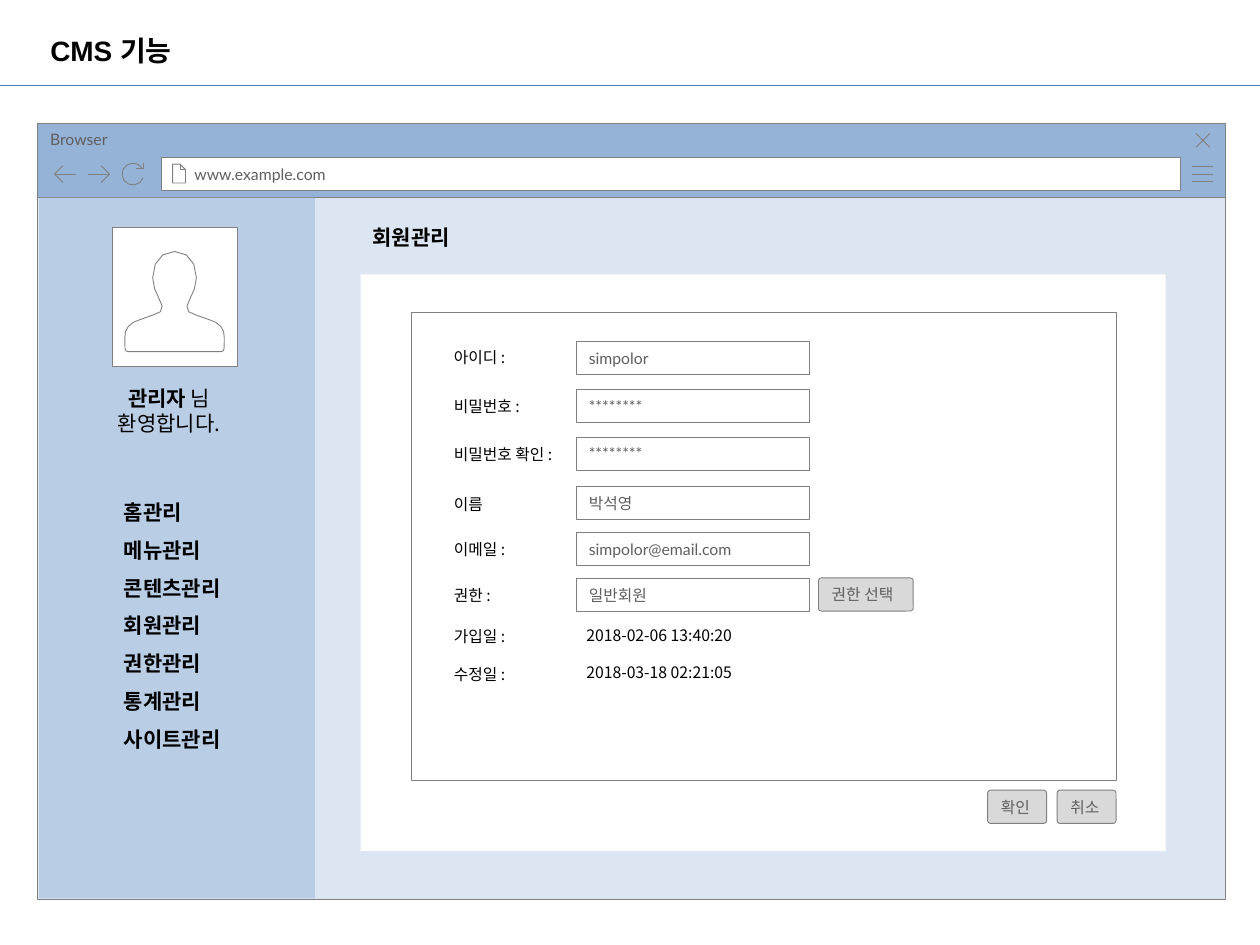
from math import cos, radians, sin

from lxml import etree
from pptx import Presentation
from pptx import util as u
from pptx.dml.color import RGBColor
from pptx.enum import shapes, text
from pptx.oxml.ns import qn

BLACK = RGBColor(0x00, 0x00, 0x00)
WHITE = RGBColor(0xFF, 0xFF, 0xFF)
GREY = RGBColor(0x80, 0x80, 0x80)
DARK_GREY = RGBColor(0x5F, 0x5F, 0x5F)
BUTTON_GREY = RGBColor(0xD9, 0xD9, 0xD9)
RULE_BLUE = RGBColor(0x4B, 0x7E, 0xBC)
BAR_BLUE = RGBColor(0x95, 0xB3, 0xD7)
SIDE_BLUE = RGBColor(0xB9, 0xCD, 0xE5)
PAGE_BLUE = RGBColor(0xDC, 0xE6, 0xF2)
KOREAN, LATIN, HEADING = "Noto Sans CJK KR", "Lato", "Arial"

FORM_ROWS = [
    ("아이디 :", 6.88, 1.78, "simpolor", 6.89),
    ("비밀번호 :", 7.88, 2.08, "********", 7.85),
    ("비밀번호 확인 :", 8.84, 2.75, "********", 8.81),
    ("이름", 9.85, 1.14, "박석영", 9.81),
    ("이메일 :", 10.75, 1.78, "simpolor@email.com", 10.73),
    ("권한 :", 11.68, 1.36, "일반회원", 11.66),
]
DATE_ROWS = [
    ("가입일 :", 12.52, "2018-02-06 13:40:20", 12.49),
    ("수정일 :", 13.28, "2018-03-18 02:21:05", 13.23),
]
MENU = ["홈관리", "메뉴관리", "콘텐츠관리", "회원관리", "권한관리", "통계관리", "사이트관리"]
PERSON_AXIS = 3.52
PERSON_CURVES = [
    [(0, 5.07), (0.28, 5.07), (0.44, 5.3), (0.44, 5.6)],
    [(0.44, 5.6), (0.44, 5.86), (0.3, 5.99), (0.25, 6.17)],
    [(0.25, 6.17), (0.21, 6.33), (0.43, 6.33), (0.57, 6.4)],
    [(0.57, 6.4), (0.71, 6.46), (0.84, 6.47), (0.93, 6.58)],
    [(0.93, 6.58), (1.02, 6.68), (1, 6.78), (1, 6.96)],
    [(1, 6.96), (1, 7.05), (1, 7.09), (0.93, 7.09)],
]


def curve_points(curve, steps=3):
    points = []
    for step in range(steps):
        t = step / steps
        weights = ((1 - t) ** 3, 3 * t * (1 - t) ** 2, 3 * t * t * (1 - t), t ** 3)
        points.append(tuple(sum(w * p[axis] for w, p in zip(weights, curve)) for axis in (0, 1)))
    return points


def person_outline():
    half = [point for curve in PERSON_CURVES for point in curve_points(curve)]
    half.append(PERSON_CURVES[-1][-1])
    left = [(PERSON_AXIS - x, y) for x, y in half]
    right = [(PERSON_AXIS + x, y) for x, y in half[:0:-1]]
    return left + right


class Wireframe:
    """Draws wireframe elements on the current slide in one style."""

    def __init__(self, slide):
        self.slide = slide
        self.line_width = u.Pt(0.5)

    def style_shape(self, shape, fill, outlined=True):
        shape.shadow.inherit = False
        if fill is None:
            shape.fill.background()
        else:
            shape.fill.solid()
            shape.fill.fore_color.rgb = fill
        if outlined:
            shape.line.color.rgb = GREY
            shape.line.width = self.line_width
        else:
            shape.line.fill.background()

    def style_text(self, frame, size, font, color=BLACK, bold=False):
        for paragraph in frame.paragraphs:
            paragraph.alignment = text.PP_ALIGN.LEFT
            for run in paragraph.runs:
                run.font.size = u.Pt(size)
                run.font.name = font
                run.font.bold = bold
                run.font.color.rgb = color

    def title(self, wording, box):
        shape = self.slide.shapes.title
        shape.left, shape.top, shape.width, shape.height = map(u.Cm, box)
        frame = shape.text_frame
        frame.text = wording
        frame.auto_size = text.MSO_AUTO_SIZE.NONE
        frame.vertical_anchor = text.MSO_ANCHOR.MIDDLE
        self.style_text(frame, 16, HEADING, bold=True)

    def box(self, box, fill=WHITE, outlined=True, kind=shapes.MSO_SHAPE.RECTANGLE):
        shape = self.slide.shapes.add_shape(kind, *map(u.Cm, box))
        self.style_shape(shape, fill, outlined)
        return shape

    def caption(self, shape, wording, left=0.25, top=0.13, anchor=text.MSO_ANCHOR.MIDDLE):
        frame = shape.text_frame
        frame.text = wording
        frame.vertical_anchor = anchor
        frame.margin_left = u.Cm(left)
        frame.margin_top = frame.margin_bottom = u.Cm(top)
        self.style_text(frame, 9, LATIN, DARK_GREY)
        return frame

    def field(self, wording, top):
        frame = self.caption(self.box((11.62, top, 4.69, 0.67)), wording, top=0.15)
        frame.auto_size = text.MSO_AUTO_SIZE.SHAPE_TO_FIT_TEXT

    def button(self, wording, left, top, width):
        shape = self.box((left, top, width, 0.67), BUTTON_GREY,
                         kind=shapes.MSO_SHAPE.ROUNDED_RECTANGLE)
        shape.adjustments[0] = 0.09
        frame = self.caption(shape, wording)
        frame.word_wrap = False
        frame.auto_size = text.MSO_AUTO_SIZE.SHAPE_TO_FIT_TEXT

    def label(self, wording, box, size=9, font=KOREAN, bold=False):
        frame = self.slide.shapes.add_textbox(*map(u.Cm, box)).text_frame
        frame.text = wording
        frame.word_wrap = False
        frame.auto_size = text.MSO_AUTO_SIZE.SHAPE_TO_FIT_TEXT
        self.style_text(frame, size, font, bold=bold)
        return frame

    def outline(self, strokes, fill=None, closed=False):
        strokes = [[(u.Cm(x), u.Cm(y)) for x, y in stroke] for stroke in strokes]
        builder = self.slide.shapes.build_freeform(*strokes[0][0])
        for index, stroke in enumerate(strokes):
            if index:
                builder.move_to(*stroke[0])
            builder.add_line_segments(stroke[1:], close=closed)
        self.style_shape(builder.convert_to_shape(), fill)

    def rule(self, y):
        line = self.slide.shapes.add_connector(
            shapes.MSO_CONNECTOR.STRAIGHT, u.Cm(25.4), u.Cm(y), 0, u.Cm(y))
        line.line.color.rgb = RULE_BLUE
        line.line.width = u.Pt(0.75)
        etree.SubElement(line._element.spPr, qn("a:effectLst"))


def draw_browser(wireframe):
    wireframe.box((0.76, 3.99, 23.95, 14.14), PAGE_BLUE)
    bar = wireframe.box((0.76, 2.49, 23.95, 1.5), BAR_BLUE)
    wireframe.caption(bar, "Browser", anchor=text.MSO_ANCHOR.TOP)
    wireframe.outline([[(24.03, y), (24.46, y)] for y in (3.35, 3.51, 3.66)])
    wireframe.outline([[(24.11, 2.69), (24.39, 2.97)], [(24.39, 2.69), (24.11, 2.97)]])
    wireframe.caption(wireframe.box((3.25, 3.17, 20.55, 0.67)), "www.example.com", left=0.67)
    wireframe.outline([
        [(3.63, 3.31), (3.63, 3.42), (3.74, 3.42)],
        [(3.63, 3.31), (3.48, 3.31), (3.48, 3.69), (3.74, 3.69), (3.74, 3.42), (3.63, 3.31)],
    ])
    for tip, direction in ((1.1, 1), (2.21, -1)):
        head = tip + 0.17 * direction
        wireframe.outline([[(head, 3.34), (tip, 3.51), (head, 3.68)],
                           [(tip, 3.51), (tip + 0.44 * direction, 3.51)]])
    arc = [(2.68 + 0.22 * cos(radians(angle)), 3.51 + 0.22 * sin(radians(angle)))
           for angle in range(20, 331, 31)]
    wireframe.outline([[(2.9, 3.28), (2.9, 3.4), (2.74, 3.4)], arc])


def draw_sidebar(wireframe):
    wireframe.box((0.79, 3.99, 5.56, 14.12), SIDE_BLUE, outlined=False)
    wireframe.box((2.27, 4.59, 2.52, 2.8))
    wireframe.outline([person_outline()], WHITE, closed=True)
    greeting = wireframe.label("관리자", (2.04, 7.65, 2.74, 1.27), 12)
    paragraph = greeting.paragraphs[0]
    paragraph.add_run().text = " 님"
    paragraph.add_line_break()
    paragraph.add_run().text = "환영합니다."
    wireframe.style_text(greeting, 12, KOREAN)
    paragraph.runs[0].font.bold = True
    paragraph.alignment = text.PP_ALIGN.CENTER
    menu = wireframe.label("\n".join(MENU), (2.25, 9.69, 2.64, 5.54), 12, bold=True)
    for paragraph in menu.paragraphs:
        paragraph.line_spacing = 1.5


def draw_form(wireframe):
    wireframe.box((7.27, 5.53, 16.23, 11.63), outlined=False)
    wireframe.box((8.3, 6.3, 14.2, 9.43))
    wireframe.label("회원관리", (7.26, 4.4, 2.24, 0.76), 12, HEADING, True)
    for name, name_top, name_width, value, value_top in FORM_ROWS:
        wireframe.label(name, (8.9, name_top, name_width, 0.64))
        wireframe.field(value, value_top)
    for name, name_top, value, value_top in DATE_ROWS:
        wireframe.label(name, (8.9, name_top, 1.78, 0.64))
        wireframe.label(value, (11.57, value_top, 3.53, 0.64))
    wireframe.button("권한 선택", 16.5, 11.65, 1.91)
    wireframe.button("확인", 19.91, 15.93, 1.19)
    wireframe.button("취소", 21.31, 15.93, 1.19)


def main():
    presentation = Presentation()
    presentation.slide_width, presentation.slide_height = u.Cm(25.4), u.Cm(19.05)
    wireframe = Wireframe(presentation.slides.add_slide(presentation.slide_layouts[5]))
    wireframe.title("CMS 기능", (0.76, 0.32, 7.19, 1.4))
    wireframe.rule(1.73)
    draw_browser(wireframe)
    draw_sidebar(wireframe)
    draw_form(wireframe)
    presentation.save("out.pptx")


if __name__ == "__main__":
    main()
